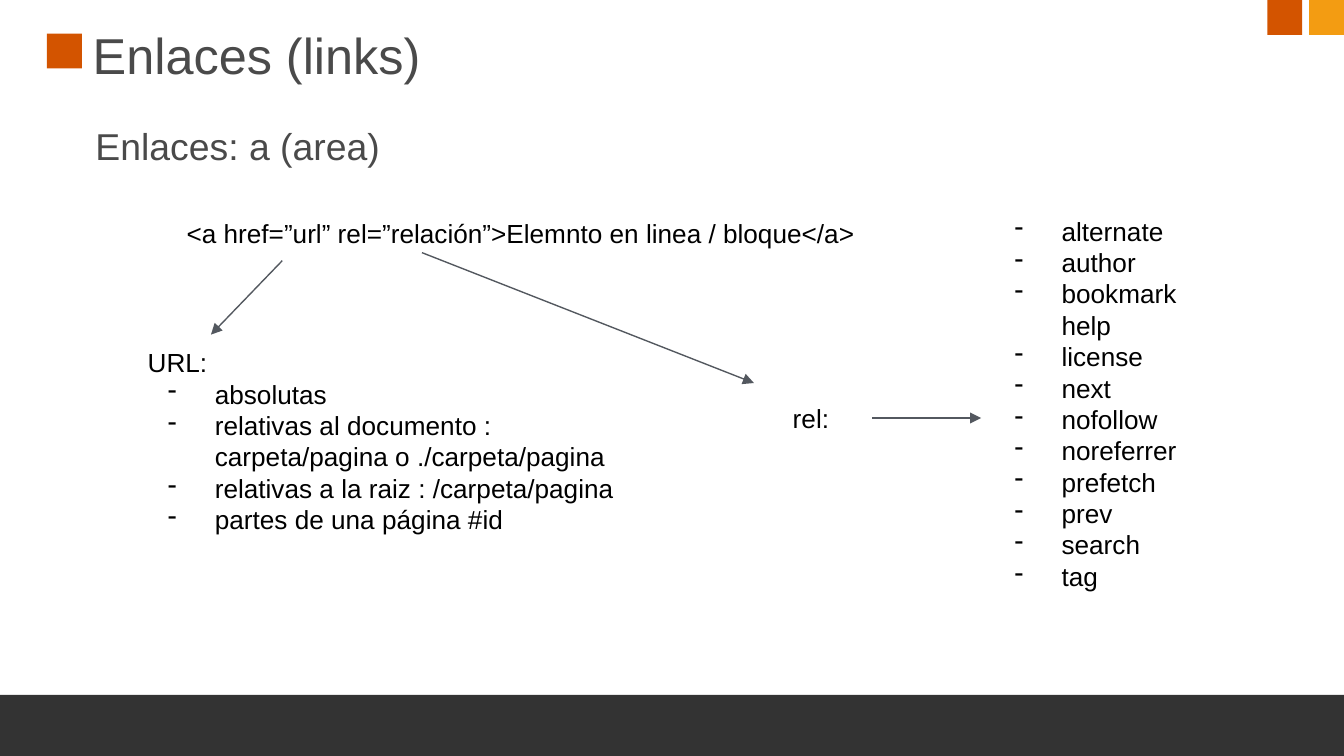
import copy

import lxml.etree
import pptx
import pptx.dml.color
import pptx.enum.shapes
import pptx.enum.text
import pptx.oxml.ns
import pptx.util

WIDE = 10
HIGH = WIDE * 9 / 16
DARK, BLACK, RUST, AMBER, COAL, SLATE = (
    "4A4A4A", "000000", "D35400", "F39C12", "333333", "53585F")
SIDE = 0.26

BLOCKS = [
    (RUST, (0.35, 0.25, SIDE, SIDE)),
    (COAL, (-0.03, 5.17, 10.05, 0.46)),
    (RUST, (9.43, 0, SIDE, SIDE)),
    (AMBER, (WIDE - SIDE, 0, SIDE, SIDE)),
]

HEAD = "Enlaces (links)"
# Lines that start with "- " become bullets; "\v" breaks a line.
TEXTS = {
    "sub": dict(at=(0.65, 0.86, 8.57, 0.59), lines=["Enlaces: a (area)"],
                size=20, color=DARK, inset=0.06),
    "code": dict(at=(1.29, 1.52, 5.84, 0.59),
                 lines=["<a href=”url” rel=”relación”>Elemnto en linea / bloque</a>"]),
    "url": dict(at=(1, 2.48, 4.09, 1.71), lines=[
        "URL:",
        "- absolutas",
        "- relativas al documento : carpeta/pagina o ./carpeta/pagina",
        "- relativas a la raiz : /carpeta/pagina",
        "- partes de una página #id"]),
    "values": dict(at=(7.3, 1.6, 1.79, 3.02), top=0, lines=[
        "- alternate", "- author", "- bookmark\vhelp", "- license", "- next",
        "- nofollow", "- noreferrer", "- prefetch", "- prev", "- search", "- tag"]),
    "rel": dict(at=(5.8, 2.86, 0.69, 0.5), lines=["rel:"], anchor="MIDDLE"),
}
ARROWS = [((2.1, 1.94), (1.57, 2.49)), ((3.14, 1.88), (5.61, 2.85))]


def inch(nums):
    return [pptx.util.Inches(n) for n in nums]


def tint(color):
    return pptx.dml.color.RGBColor.from_string(color)


def add_xml(node, tag, **attrs):
    child = lxml.etree.SubElement(node, pptx.oxml.ns.qn(tag))
    for key, val in attrs.items():
        child.set(key, val)
    return child


def add_dash(para):
    props = para._p.get_or_add_pPr()
    props.set("marL", str(pptx.util.Inches(0.5)))
    props.set("indent", str(pptx.util.Inches(-0.35)))
    add_xml(add_xml(props, "a:buClr"), "a:srgbClr", val=BLACK)
    add_xml(props, "a:buChar", char="-")


def write(frame, lines, size=14, color=BLACK, inset=0.1, top=None, anchor="TOP"):
    edge = pptx.util.Inches(inset)
    style = {
        "word_wrap": True,
        "auto_size": pptx.enum.text.MSO_AUTO_SIZE.NONE,
        "vertical_anchor": pptx.enum.text.MSO_ANCHOR[anchor],
        "margin_left": edge, "margin_right": edge, "margin_bottom": edge,
        "margin_top": edge if top is None else pptx.util.Inches(top),
    }
    for key, val in style.items():
        setattr(frame, key, val)
    for num, line in enumerate(lines):
        para = frame.add_paragraph() if num else frame.paragraphs[0]
        if line.startswith("- "):
            add_dash(para)
        para.text = line.removeprefix("- ")
        para.alignment = pptx.enum.text.PP_ALIGN.LEFT
        for run in para.runs:
            run.font.name = "Arial"
            run.font.size = pptx.util.Pt(size)
            run.font.color.rgb = tint(color)
        # A line break needs the run's size to keep the line height.
        for gap in para._p.findall(pptx.oxml.ns.qn("a:br")):
            gap.append(copy.deepcopy(para.runs[0]._r.rPr))


def add_block(slide, color, at):
    kind = pptx.enum.shapes.MSO_SHAPE.RECTANGLE
    block = slide.shapes.add_shape(kind, *inch(at))
    block.shadow.inherit = False
    block.fill.solid()
    block.fill.fore_color.rgb = tint(color)
    block.line.fill.background()


def add_arrow(slide, start, end):
    kind = pptx.enum.shapes.MSO_CONNECTOR.STRAIGHT
    arrow = slide.shapes.add_connector(kind, *inch(start + end))
    arrow.line.color.rgb = tint(SLATE)
    arrow.line.width = pptx.util.Pt(0.75)
    add_xml(arrow.line._get_or_add_ln(), "a:tailEnd", type="triangle")
    add_xml(arrow._element.spPr, "a:effectLst")
    return arrow


def main():
    deck = pptx.Presentation()
    deck.slide_width, deck.slide_height = inch((WIDE, HIGH))
    slide = deck.slides.add_slide(deck.slide_layouts[5])

    for color, at in BLOCKS:
        add_block(slide, color, at)

    title = slide.shapes.title
    spot = inch((0.63, 0.12, 8.57, 0.59))
    for key, val in zip(("left", "top", "width", "height"), spot):
        setattr(title, key, val)
    write(title.text_frame, [HEAD], size=27, color=DARK, inset=0.06)

    boxes = {}
    for name, form in TEXTS.items():
        form = dict(form)
        boxes[name] = slide.shapes.add_textbox(*inch(form.pop("at")))
        write(boxes[name].text_frame, **form)

    for start, end in ARROWS:
        add_arrow(slide, start, end)
    link = add_arrow(slide, (6.49, 3.11), (7.3, 3.11))
    link.begin_connect(boxes["rel"], 3)
    link.end_connect(boxes["values"], 1)

    deck.save("out.pptx")


if __name__ == "__main__":
    main()
